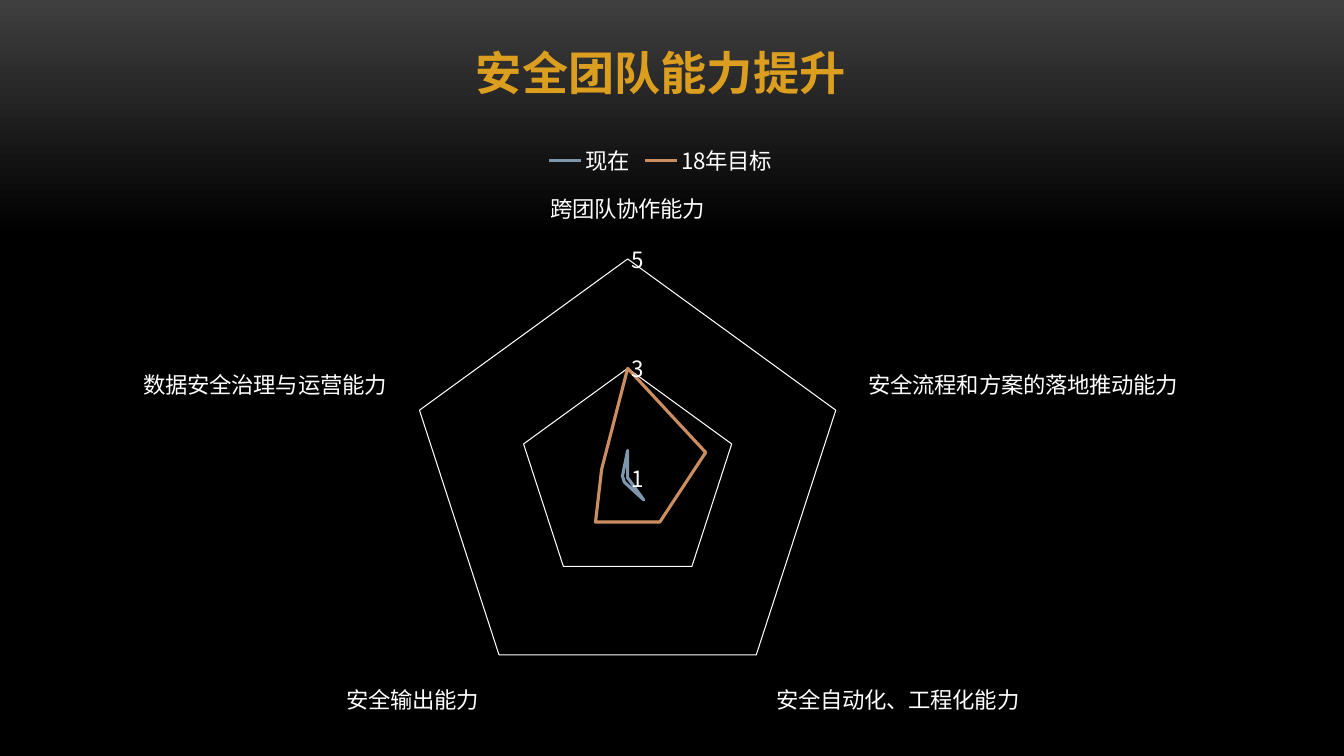
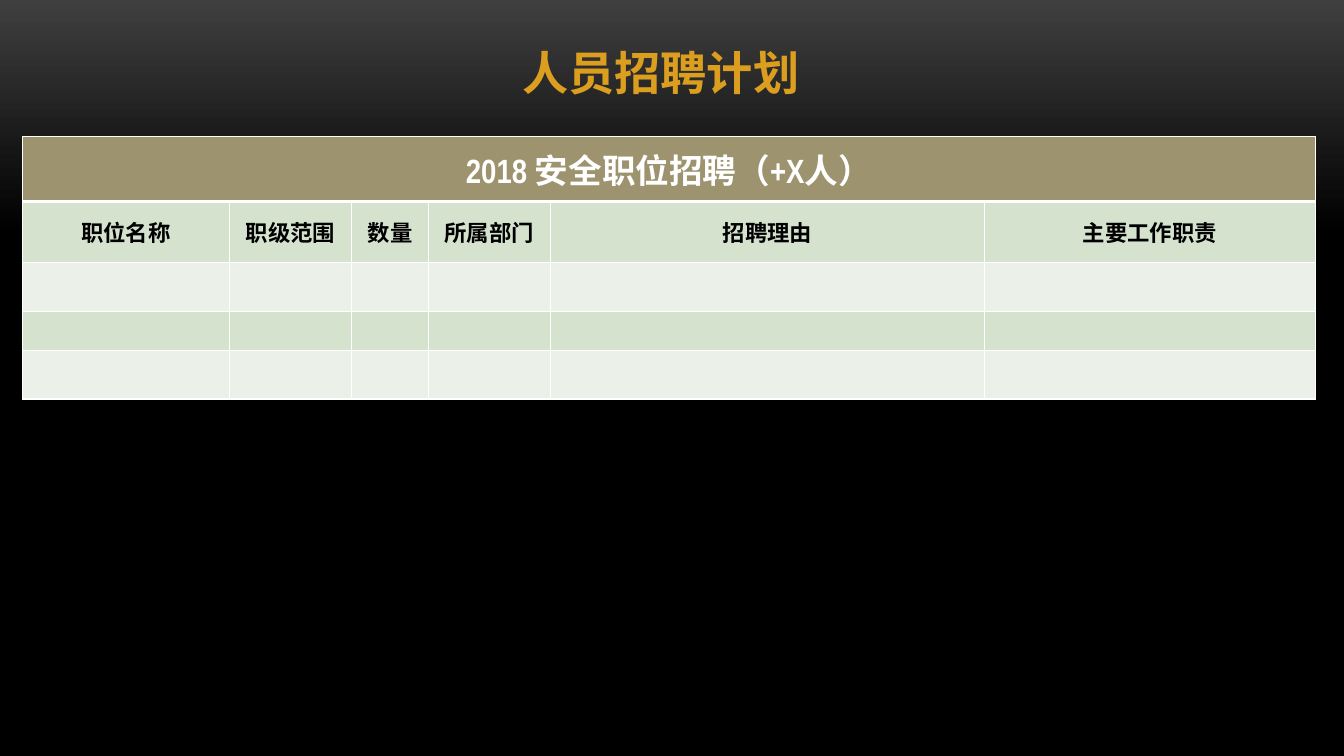
import pptx
import pptx.chart.data
import pptx.dml.color
import pptx.enum.chart
import pptx.enum.text
import pptx.oxml
import pptx.oxml.ns
import pptx.util
import copy
from dataclasses import dataclass

Pt = pptx.util.Pt
qn = pptx.oxml.ns.qn


@dataclass(frozen=True)
class Theme:
    font: str = "Noto Sans CJK SC"
    banner_font: str = "Arial Narrow"
    title: str = "DC9E1F"
    white: str = "FFFFFF"
    black: str = "000000"
    glow: str = "3F3F3F"
    banner: str = "9D936F"
    band_dark: str = "D4E2CE"
    band_light: str = "EBF1E8"
    now: str = "7E97AD"
    goal: str = "CC8E60"
    title_size: float = 33
    banner_size: float = 24
    body_size: float = 16


THEME = Theme()
SLIDE_SIZE = (960, 540)
TITLE_BOX = (276.5, 28, 391, 47.5)
TITLE_INSET = 3.6

RADAR_TITLE = "安全团队能力提升"
RADAR_BOX = (77, 95, 790, 424)
ABILITIES = ["跨团队协作能力", "安全流程和方案的落地推动能力", "安全自动化、工程化能力",
             "安全输出能力", "数据安全治理与运营能力"]
SCORES = [("现在", (1.5, 1, 1.5, 1.1, 1.1), THEME.now),
          ("18年目标", (3, 2.5, 2, 2, 1.5), THEME.goal)]

HIRING_TITLE = "人员招聘计划"
HIRING_BANNER = "2018 安全职位招聘（+X人）"
HIRING_COLUMNS = [("职位名称", 147.8), ("职级范围", 87.5), ("数量", 54.7),
                  ("所属部门", 87.1), ("招聘理由", 310.3), ("主要工作职责", 236.2)]
HIRING_ROWS = [46.3, 43.7, 34.7, 28, 34.8]
TABLE_ORIGIN = (16, 97.6)


def color(value):
    return pptx.dml.color.RGBColor.from_string(value)


def style(font, size, value, bold=False, name=THEME.font):
    font.name, font.size, font.bold = name, Pt(size), bold
    font.color.rgb = color(value)


def set_asian_font(element):
    for latin in list(element.iter(qn("a:latin"))):
        asian = copy.deepcopy(latin)
        asian.tag = qn("a:ea")
        asian.set("typeface", THEME.font)
        latin.addnext(asian)


def paint_background(master):
    fill = master.background.fill
    fill.gradient()
    fill.gradient_angle = 270
    top, middle = fill.gradient_stops
    top.color.rgb, top.position = color(THEME.glow), 0
    middle.color.rgb, middle.position = color(THEME.black), 0.31
    last = list(master.element.iter(qn("a:gs")))[-1]
    bottom = copy.deepcopy(last)
    bottom.set("pos", "100000")
    last.addnext(bottom)


def write(frame, text, *font):
    frame.text = text
    para = frame.paragraphs[0]
    para.alignment = pptx.enum.text.PP_ALIGN.CENTER
    for span in para.runs:
        style(span.font, *font)


def add_page(deck, title):
    page = deck.slides.add_slide(deck.slide_layouts[6])
    box = page.shapes.add_textbox(*map(Pt, TITLE_BOX))
    frame = box.text_frame
    frame.word_wrap = True
    frame.margin_left = frame.margin_right = Pt(TITLE_INSET)
    frame.margin_top = frame.margin_bottom = Pt(TITLE_INSET)
    write(frame, title, THEME.title_size, THEME.title, True)
    return page


def white_line(line):
    line.color.rgb, line.width = color(THEME.white), Pt(0.75)


def add_radar(page):
    kinds = pptx.enum.chart
    data = pptx.chart.data.CategoryChartData()
    data.categories = ABILITIES
    for name, values, _ in SCORES:
        data.add_series(name, values)
    chart = page.shapes.add_chart(kinds.XL_CHART_TYPE.RADAR, *map(Pt, RADAR_BOX), data).chart
    chart.has_title = False
    chart.has_legend = True
    chart.legend.position = kinds.XL_LEGEND_POSITION.TOP
    chart.legend.include_in_layout = False
    chart.plots[0].vary_by_categories = False

    axis, scale = chart.category_axis, chart.value_axis
    for part in (chart, chart.legend):
        style(part.font, THEME.body_size, THEME.white)
    for ruler in (axis, scale):
        style(ruler.tick_labels.font, THEME.body_size, THEME.white)
        ruler.major_tick_mark = ruler.minor_tick_mark = kinds.XL_TICK_MARK.NONE
    axis.has_major_gridlines = False
    white_line(axis.format.line)
    scale.minimum_scale, scale.maximum_scale, scale.major_unit = 1, 5, 2
    scale.tick_labels.number_format = "0"
    scale.tick_labels.number_format_is_linked = False
    scale.format.line.fill.background()
    white_line(scale.major_gridlines.format.line)

    for series, (_, _, value) in zip(chart.plots[0].series, SCORES):
        series.smooth = False
        series.format.line.color.rgb = color(value)
        series.format.line.width = Pt(2.25)
        series.marker.style = kinds.XL_MARKER_STYLE.NONE
    set_asian_font(chart.element)


def add_borders(cell, bottom):
    properties = cell._tc.get_or_add_tcPr()
    widths = {"lnL": 1, "lnR": 1, "lnT": 1, "lnB": bottom}
    for index, (side, width) in enumerate(widths.items()):
        border = pptx.oxml.parse_xml(
            f'<a:{side} {pptx.oxml.ns.nsdecls("a")} w="{Pt(width)}"><a:solidFill>'
            f'<a:srgbClr val="{THEME.white}"/></a:solidFill></a:{side}>')
        properties.insert(index, border)


def add_hiring_table(page):
    widths = [width for _, width in HIRING_COLUMNS]
    size = (sum(widths), sum(HIRING_ROWS))
    table = page.shapes.add_table(len(HIRING_ROWS), len(widths),
                                  *map(Pt, TABLE_ORIGIN + size)).table
    table.first_row = table.horz_banding = False
    for column, width in zip(table.columns, widths):
        column.width = Pt(width)
    for number, (row, height) in enumerate(zip(table.rows, HIRING_ROWS)):
        row.height = Pt(height)
        band = THEME.band_dark if number % 2 else THEME.band_light
        for cell in row.cells:
            cell.fill.solid()
            cell.fill.fore_color.rgb = color(band if number else THEME.banner)
            cell.vertical_anchor = pptx.enum.text.MSO_ANCHOR.MIDDLE
            cell.margin_top = cell.margin_bottom = 0
            add_borders(cell, 1 if number else 3)

    banner = table.cell(0, 0)
    banner.merge(table.cell(0, len(widths) - 1))
    write(banner.text_frame, HIRING_BANNER, THEME.banner_size, THEME.white, True,
          THEME.banner_font)
    for index, (label, _) in enumerate(HIRING_COLUMNS):
        write(table.cell(1, index).text_frame, label, THEME.body_size, THEME.black, True)


def main():
    deck = pptx.Presentation()
    deck.slide_width, deck.slide_height = map(Pt, SLIDE_SIZE)
    paint_background(deck.slide_master)
    add_radar(add_page(deck, RADAR_TITLE))
    add_hiring_table(add_page(deck, HIRING_TITLE))
    for page in deck.slides:
        set_asian_font(page.element)
    deck.save("out.pptx")


if __name__ == "__main__":
    main()
